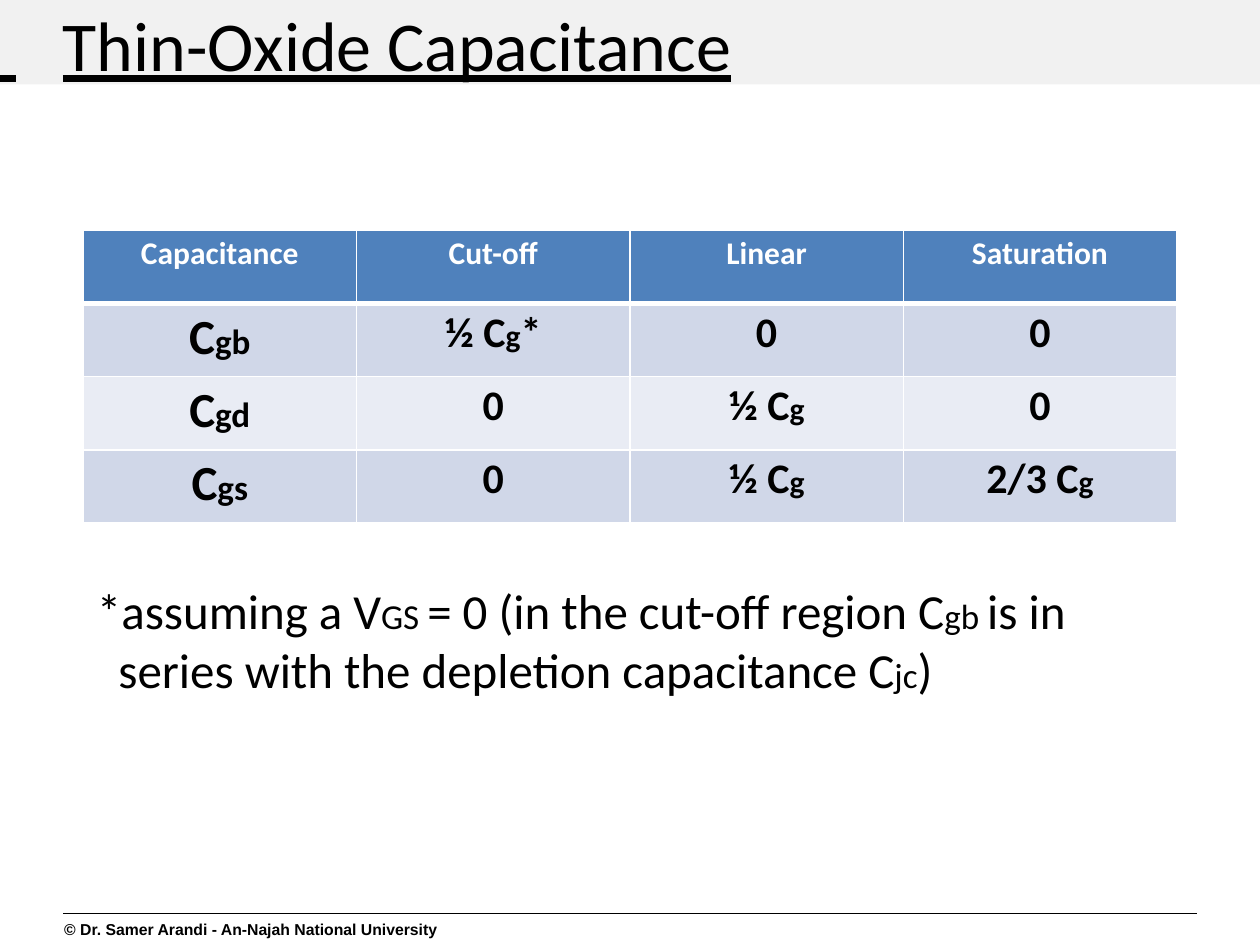
from lxml import etree
from pptx import Presentation
from pptx.dml.color import RGBColor
from pptx.enum import shapes, text
from pptx.oxml import ns
from pptx.util import Inches, Pt

BLACK = RGBColor(0, 0, 0)
WHITE = RGBColor(255, 255, 255)
BAND_GREY = RGBColor(0xF1, 0xF1, 0xF1)
HEADER_BLUE = RGBColor(0x4F, 0x81, 0xBC)
ROW_DARK = RGBColor(0xD0, 0xD7, 0xE8)
ROW_LIGHT = RGBColor(0xE9, 0xEC, 0xF4)

TITLE = [(" \tThin-Oxide Capacitance\t", 40)]
TITLE_TABS = [2.36, 10.01]
FOOTER = [("© Dr. Samer Arandi - An-Najah National University", 9)]
NOTE = [
    ("*assuming a V", 28), ("GS ", 20),
    ("= 0 (in the cut-off region C", 28), ("gb ", 20),
    ("is in series with the depletion capacitance C", 28), ("jc", 20), (")", 28),
]

ZERO = [("0", 24)]
HALF = [("½ C", 24), ("g", 18)]
HEADINGS = ["Capacitance", "Cut-off", "Linear", "Saturation"]
ROWS = [
    [[("C", 28), ("gb", 20)], HALF + [("*", 24)], ZERO, ZERO],
    [[("C", 28), ("gd", 20)], ZERO, HALF, ZERO],
    [[("C", 28), ("gs", 20)], ZERO, HALF, [("2/3 C", 24), ("g", 18)]],
]
COLUMN_WIDTH = 2.17
ROW_HEIGHT = 0.58


def write(para, spans, color=BLACK, font="Calibri", bold=False, underline=False):
    for words, size in spans:
        span = para.add_run()
        span.text = words
        span.font.name = font
        span.font.size = Pt(size)
        span.font.bold = bold
        span.font.underline = underline
        span.font.color.rgb = color


def add_text(page, left, top, width, height, inset=0.02):
    box = page.shapes.add_textbox(Inches(left), Inches(top), Inches(width), Inches(height))
    frame = box.text_frame
    frame.word_wrap = True
    frame.margin_left = frame.margin_right = frame.margin_bottom = 0
    frame.margin_top = Inches(inset)
    return frame.paragraphs[0]


def set_indent(para, left, first):
    props = para._p.get_or_add_pPr()
    props.set("marL", str(Inches(left)))
    props.set("indent", str(Inches(first)))
    return props


def add_borders(cell, widths):
    props = cell._tc.get_or_add_tcPr()
    for position, (side, width) in enumerate(widths.items()):
        line = etree.Element(ns.qn(f"a:ln{side}"), w=str(Pt(width)))
        fill = etree.SubElement(line, ns.qn("a:solidFill"))
        etree.SubElement(fill, ns.qn("a:srgbClr"), val=str(WHITE))
        props.insert(position, line)


def add_capacitance_table(page):
    cells = [[[(heading, 18)] for heading in HEADINGS]] + ROWS
    frame = page.shapes.add_table(
        len(cells), len(HEADINGS), Inches(0.66), Inches(1.83),
        Inches(COLUMN_WIDTH * len(HEADINGS)), Inches(ROW_HEIGHT * len(cells)))
    table = frame.table
    for column in table.columns:
        column.width = Inches(COLUMN_WIDTH)
    for r, row in enumerate(cells):
        table.rows[r].height = Inches(ROW_HEIGHT)
        fill = HEADER_BLUE if r == 0 else ROW_DARK if r % 2 else ROW_LIGHT
        borders = {"L": 1, "R": 1, "T": 3 if r == 1 else 1, "B": 3 if r == 0 else 1}
        for c, spans in enumerate(row):
            cell = table.cell(r, c)
            cell.margin_left = cell.margin_right = cell.margin_bottom = 0
            cell.margin_top = Inches(0.03)
            cell.fill.solid()
            cell.fill.fore_color.rgb = fill
            add_borders(cell, borders)
            para = cell.text_frame.paragraphs[0]
            para.alignment = text.PP_ALIGN.CENTER
            write(para, spans, WHITE if r == 0 else BLACK, bold=True)


def main():
    deck = Presentation()
    deck.slide_width, deck.slide_height = Inches(10), Inches(7.5)
    page = deck.slides.add_slide(deck.slide_layouts[6])

    band = page.shapes.add_shape(
        shapes.MSO_SHAPE.RECTANGLE, 0, 0, Inches(10), Inches(0.67))
    band.shadow.inherit = False
    band.fill.solid()
    band.fill.fore_color.rgb = BAND_GREY
    band.line.fill.background()

    rule = page.shapes.add_connector(
        shapes.MSO_CONNECTOR.STRAIGHT, Inches(0.5), Inches(7.25), Inches(9.5), Inches(7.25))
    rule.line.color.rgb = BLACK
    rule.line.width = Pt(0.75)
    etree.SubElement(rule._element.spPr, ns.qn("a:effectLst"))

    title = add_text(page, -0.01, -0.01, 10.03, 0.7)
    tabs = etree.SubElement(set_indent(title, 0.01, 0), ns.qn("a:tabLst"))
    for position in TITLE_TABS:
        etree.SubElement(tabs, ns.qn("a:tab"), pos=str(Inches(position)), algn="l")
    write(title, TITLE, underline=True)

    footer = add_text(page, 0.5, 7.3, 3.04, 0.17, inset=0)
    set_indent(footer, 0.01, 0)
    write(footer, FOOTER, font="Arial", bold=True)

    add_capacitance_table(page)

    note = add_text(page, 0.75, 4.59, 7.8, 0.96)
    set_indent(note, 0.19, -0.17)
    write(note, NOTE)

    deck.save("out.pptx")


if __name__ == "__main__":
    main()
